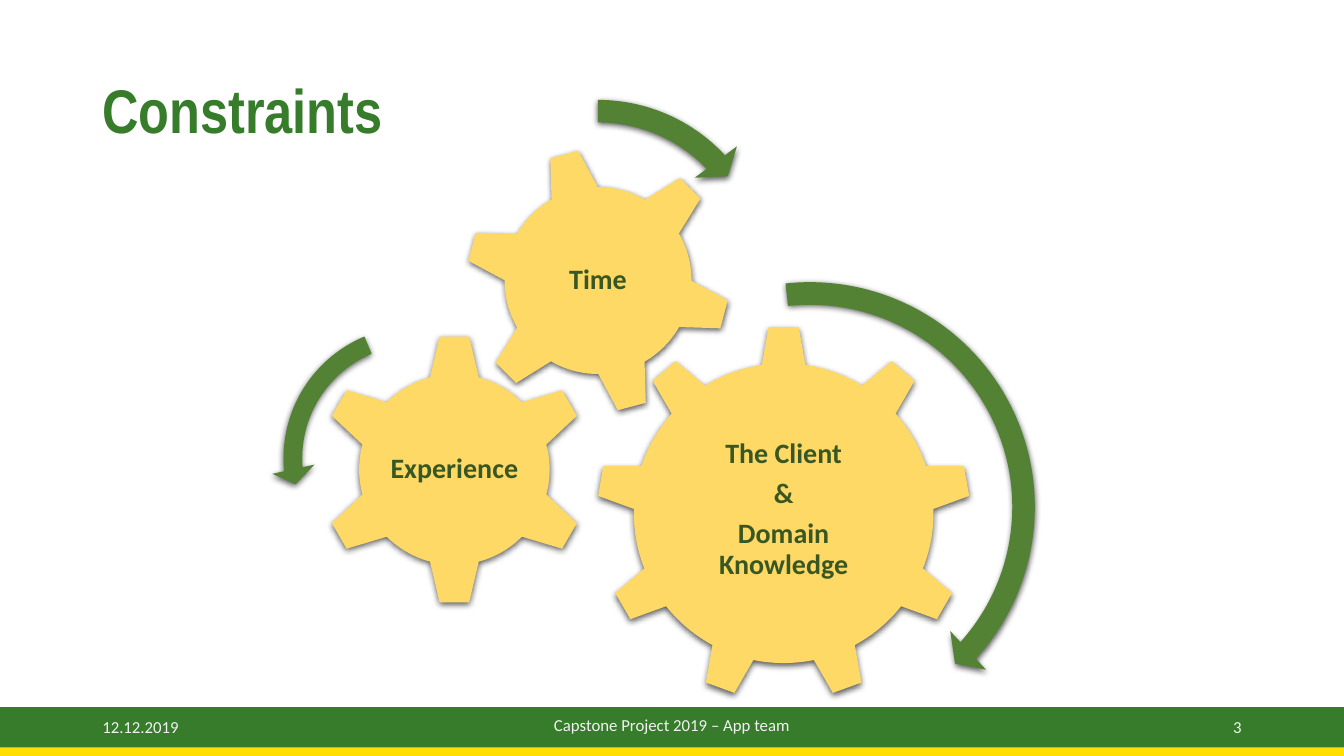
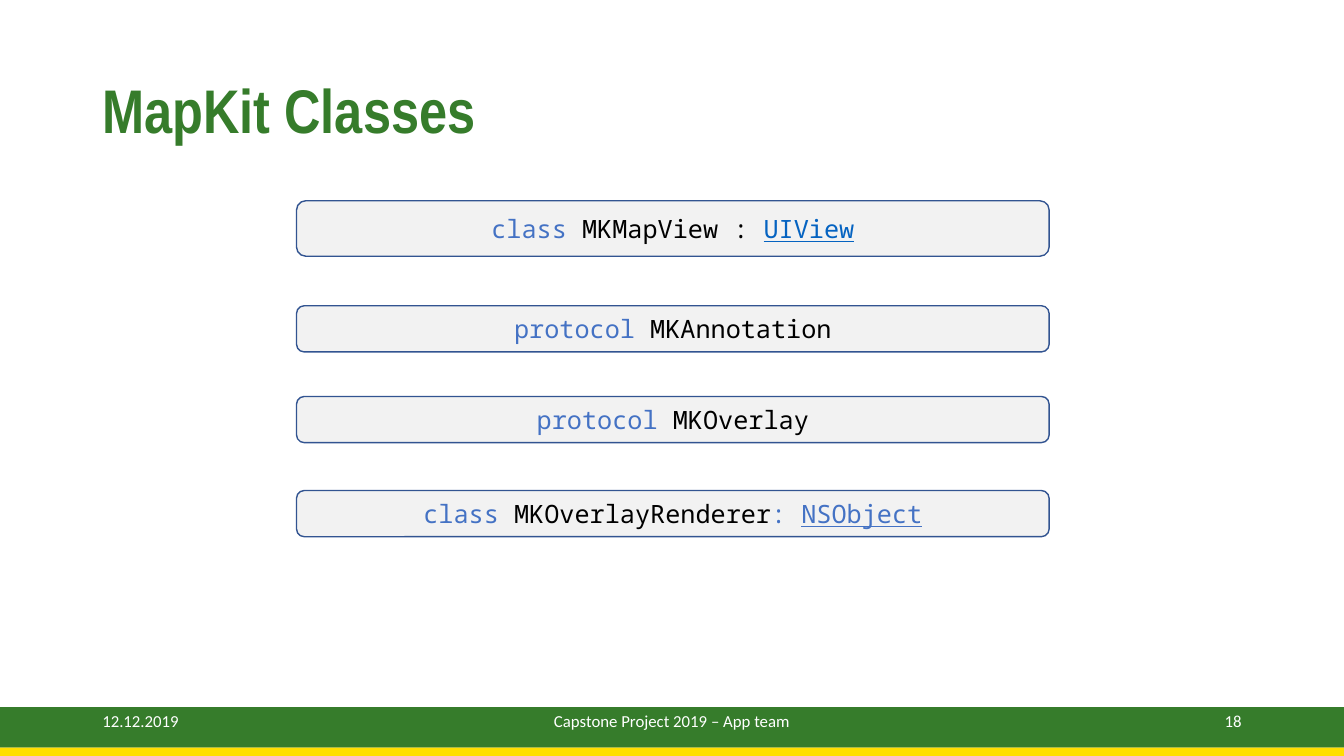
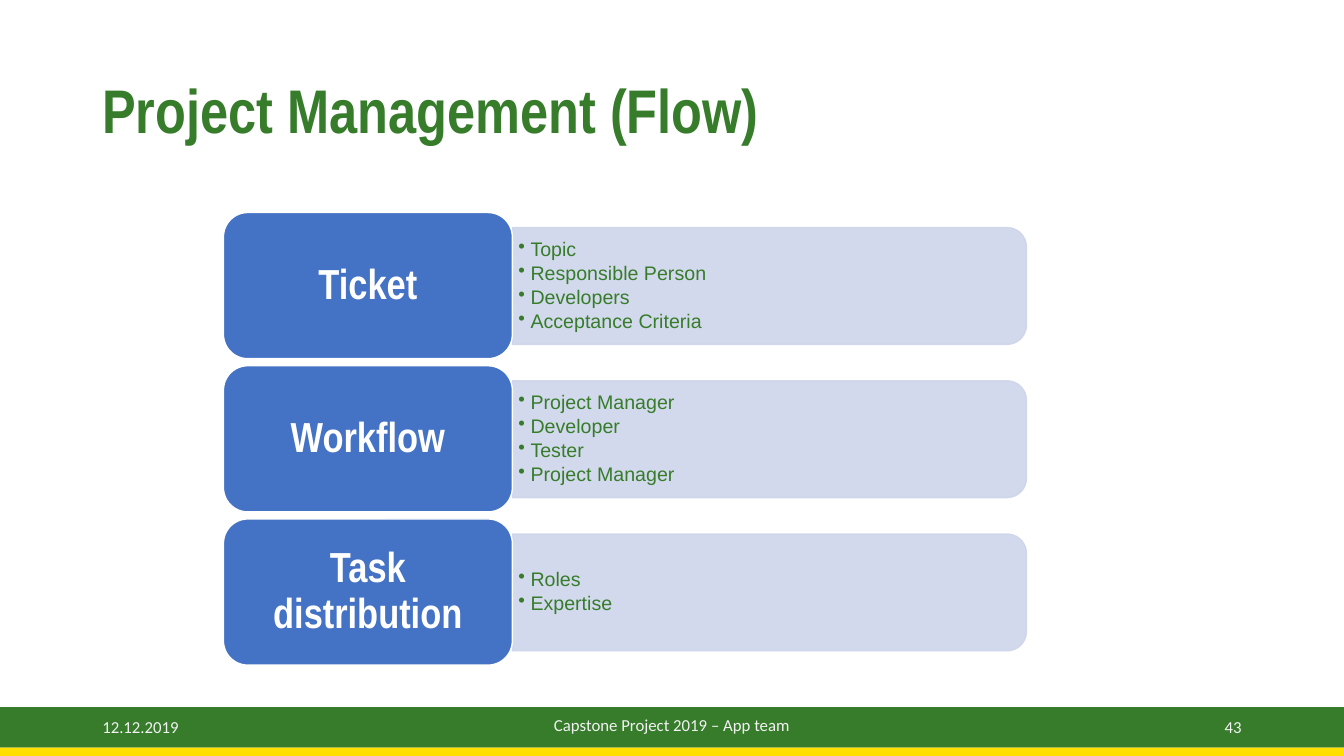
"""Build three capstone project slides: constraints, map classes and project flow."""
import math

from lxml import etree
from pptx import Presentation
from pptx import util as u
from pptx.dml.color import RGBColor
from pptx.enum import shapes, text
from pptx.oxml import ns

COLORS = {
    "green": "367C2B", "yellow": "FFDE00", "pale": "F2F2F2", "white": "FFFFFF",
    "gear": "FFD966", "gear_text": "385723", "arrow": "548235",
    "blue": "4472C4", "outline": "325491", "link": "0563C1", "black": "000000",
    "panel": "CFD5EA",
}
COLUMNS, ROWS = 160, 90
UNIT = u.Inches(7.5) // ROWS
KIND = shapes.MSO_SHAPE
ALIGN = text.PP_ALIGN


def draw(slide, kind, box, fill, line=None):
    """Add a shape placed in grid units, with flat fill and optional outline."""
    shape = slide.shapes.add_shape(kind, *(round(length * UNIT) for length in box))
    shape.shadow.inherit = False
    shape.fill.solid()
    shape.fill.fore_color.rgb = RGBColor.from_string(COLORS[fill])
    if line:
        shape.line.color.rgb = RGBColor.from_string(COLORS[line])
        shape.line.width = u.Pt(1)
    else:
        shape.line.fill.background()
    return shape


def write(target, lines, font, size, color, bold=False, align=ALIGN.CENTER,
          spacing=1.0, after=0, insets=(0.1, 0.05, 0.1, 0.05), bullet=False):
    """Fill a shape, or a new text box given as (slide, box), with paragraphs."""
    if isinstance(target, tuple):
        slide, box = target
        target = slide.shapes.add_textbox(*(round(length * UNIT) for length in box))
    frame = target.text_frame
    frame.word_wrap = True
    frame.vertical_anchor = text.MSO_ANCHOR.MIDDLE
    frame.margin_left, frame.margin_top, frame.margin_right, frame.margin_bottom = map(u.Inches, insets)
    for number, line in enumerate(lines):
        paragraph = frame.add_paragraph() if number else frame.paragraphs[0]
        if bullet:
            properties = paragraph._p.get_or_add_pPr()
            properties.set("marL", str(u.Inches(0.12)))
            properties.set("indent", str(-u.Inches(0.12)))
            etree.SubElement(properties, ns.qn("a:buChar")).set("char", "•")
        paragraph.alignment = align
        paragraph.line_spacing = spacing
        paragraph.space_after = u.Pt(after)
        paragraph.font.name, paragraph.font.size, paragraph.font.bold = font, u.Pt(size), bold
        paragraph.font.color.rgb = RGBColor.from_string(COLORS[color])
        for words, run_color, underline in [(line, None, False)] if isinstance(line, str) else line:
            run = paragraph.add_run()
            run.text = words
            if run_color:
                run.font.color.rgb = RGBColor.from_string(COLORS[run_color])
            if underline:
                run.font.underline = True


presentation = Presentation()
presentation.slide_width = COLUMNS * UNIT
presentation.slide_height = ROWS * UNIT

pages = [
    ("Constraints", "3", "pale", 84.1, 83.9),
    ("MapKit Classes", "18", "white", 83.4, 83.4),
    ("Project Management (Flow)", "43", "pale", 84.1, 83.9),
]
slides = []
for title, number, footer_color, side_top, middle_top in pages:
    slide = presentation.slides.add_slide(presentation.slide_layouts[6])
    slides.append(slide)
    write((slide, (11, 4.8, 138, 17.4)), [title], "Arial Narrow", 44, "green",
          bold=True, align=ALIGN.LEFT, spacing=0.9)
    draw(slide, KIND.RECTANGLE, (0, 84.2, COLUMNS, 4.8), "green")
    draw(slide, KIND.RECTANGLE, (0, 89, COLUMNS, 1), "yellow")
    for words, left, top, width, align in [
        ("12.12.2019", 11, side_top, 36, ALIGN.LEFT),
        ("Capstone Project 2019 – App team", 53, middle_top, 54, ALIGN.CENTER),
        (number, 113, side_top, 36, ALIGN.RIGHT),
    ]:
        write((slide, (left, top, width, 4.8)), [words], "Calibri", 12, footer_color, align=align)
constraints, classes, flow = slides

shadowed = []
for kind, left, top, size, turn, lines in [
    (KIND.GEAR_9, 71, 38.8, 44.6, 0, ["The Client", "&", "Domain Knowledge"]),
    (KIND.GEAR_6, 37.9, 39.7, 32.4, 0, ["Experience"]),
    (KIND.GEAR_6, 55.3, 17.5, 31.8, -15, ["Time"]),
]:
    box = (left, top, size, size)
    gear = draw(constraints, kind, box, "gear")
    gear.rotation = turn
    shadowed.append(gear)
    write((constraints, box) if turn else gear, lines, "Calibri", 20, "gear_text",
          bold=True, spacing=0.9, after=7, insets=(0.02, 0.04, 0.02, 0.04))

for kind, left, top, size, turn, thickness, head_angle, end_angle, start_angle, head_width in [
    (KIND.CIRCULAR_ARROW, 67.9, 31.8, 57.1, 0, 4.7, 4.98, 42.24, 263.71, 5.5),
    (KIND.LEFT_CIRCULAR_ARROW, 32.3, 37.4, 34.3, 0, 6.5, 7.17, 174.82, 247.3, 7.5),
    (KIND.CIRCULAR_ARROW, 48.8, 10.1, 44.8, 94.8, 6, 6.57, 221.9, 175.14, 7),
]:
    arrow = draw(constraints, kind, (left, top, size, size), "arrow")
    arrow.rotation = turn
    angles = [angle * 0.6 for angle in (head_angle, end_angle, start_angle)]
    for index, value in enumerate([thickness / 100, *angles, head_width / 100]):
        arrow.adjustments[index] = value
    shadowed.append(arrow)

for shape in shadowed:
    effects = shape._element.spPr.find(ns.qn("a:effectLst"))
    shadow = etree.SubElement(effects, ns.qn("a:outerShdw"), blurRad=str(u.Pt(4.5)),
                              dist=str(u.Pt(1.5)), dir="5400000", algn="ctr", rotWithShape="0")
    shade = etree.SubElement(shadow, ns.qn("a:srgbClr"), val=COLORS["black"])
    etree.SubElement(shade, ns.qn("a:alpha"), val="63000")

for top, height, runs in [
    (23.9, 6.6, [("class ", "blue", False), ("MKMapView : ", "black", False), ("UIView", "link", True)]),
    (36.4, 5.5, [("protocol ", "blue", False), ("MKAnnotation", "black", False)]),
    (47.2, 5.5, [("protocol ", "blue", False), ("MKOverlay", "black", False)]),
    (58.4, 5.5, [("class ", "blue", False), ("MKOverlayRenderer", "black", False),
                 (": ", "blue", False), ("NSObject", "blue", True)]),
]:
    declaration = draw(classes, KIND.ROUNDED_RECTANGLE, (35.3, top, 89.6, height), "pale", "outline")
    write(declaration, [runs], "Noto Sans Mono", 18, "black")

panel_left, panel_right, panel_height, radius = 61, 122.2, 13.9, 2.3
for row, (label, items) in enumerate([
    ("Ticket", ["Topic", "Responsible Person", "Developers", "Acceptance Criteria"]),
    ("Workflow", ["Project Manager", "Developer", "Tester", "Project Manager"]),
    ("Task distribution", ["Roles", "Expertise"]),
]):
    label_top = 25.3 + 18.24 * row
    panel_top = label_top + 1.8
    panel_bottom = panel_top + panel_height
    outline = [
        (panel_right - radius + radius * math.cos(math.radians(angle)),
         center + radius * math.sin(math.radians(angle)))
        for center, first in ((panel_top + radius, -90), (panel_bottom - radius, 0))
        for angle in range(first, first + 91, 10)
    ]
    start, *corners = [
        (round(x * UNIT), round(y * UNIT))
        for x, y in [(panel_left, panel_top), *outline, (panel_left, panel_bottom)]
    ]
    builder = flow.shapes.build_freeform(*start)
    builder.add_line_segments(corners, close=True)
    panel = builder.convert_to_shape()
    panel.shadow.inherit = False
    panel.line.width = u.Pt(1)
    for fill in (panel.fill, panel.line.fill):
        fill.solid()
        fill.fore_color.rgb = RGBColor.from_string(COLORS["panel"])
    for color in panel._element.spPr.iter(ns.qn("a:srgbClr")):
        etree.SubElement(color, ns.qn("a:alpha"), val="90000")
    write(panel, items, "Arial", 14, "green", align=ALIGN.LEFT, spacing=0.9, after=2,
          insets=(0.06, 0.09, 0.11, 0.09), bullet=True)
    label_box = draw(flow, KIND.ROUNDED_RECTANGLE, (26.6, label_top, 34.4, 17.4), "blue", "white")
    write(label_box, [label], "Arial Narrow", 30, "white", bold=True, spacing=0.9,
          insets=(0.2, 0.13, 0.2, 0.13))

presentation.save("out.pptx")
